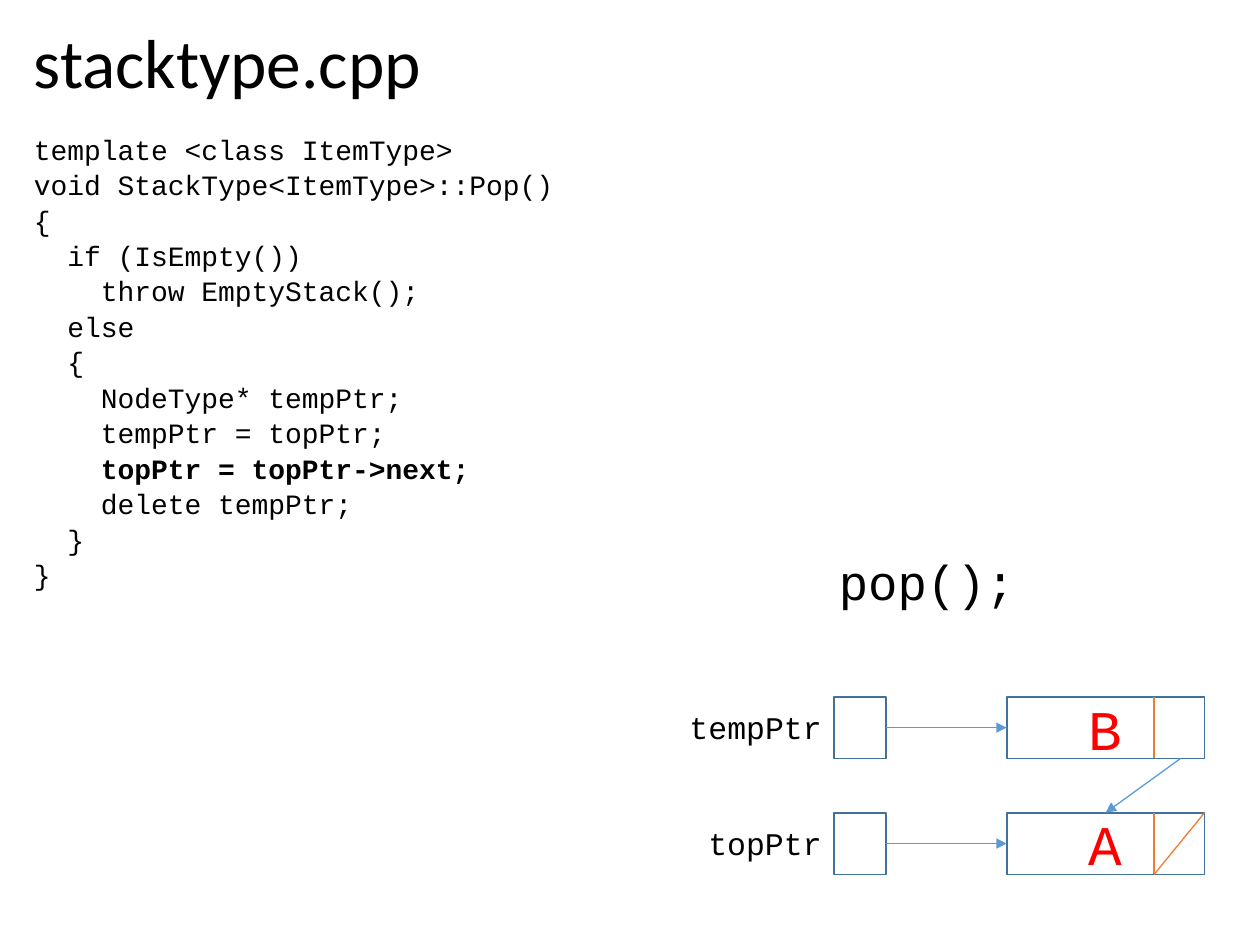
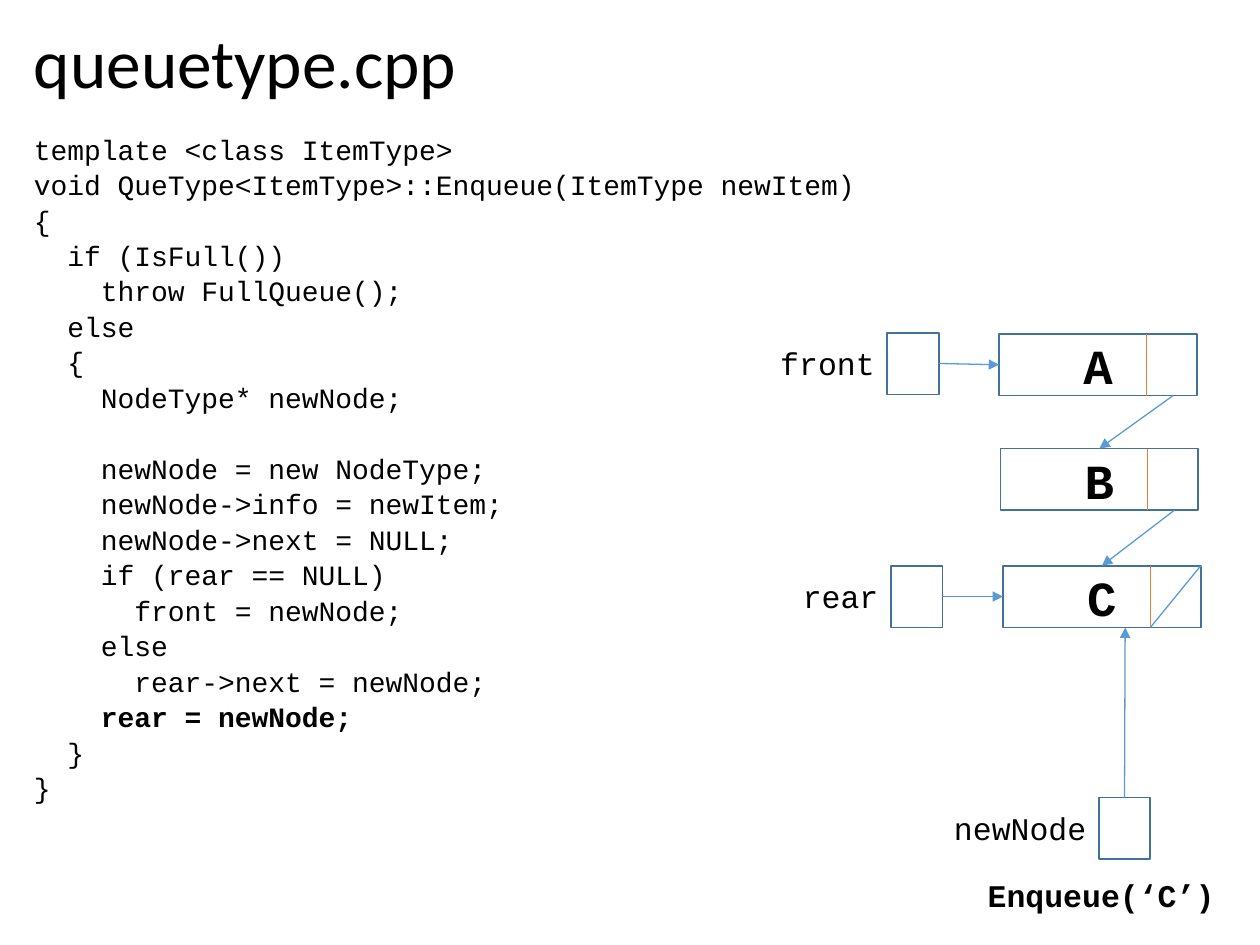
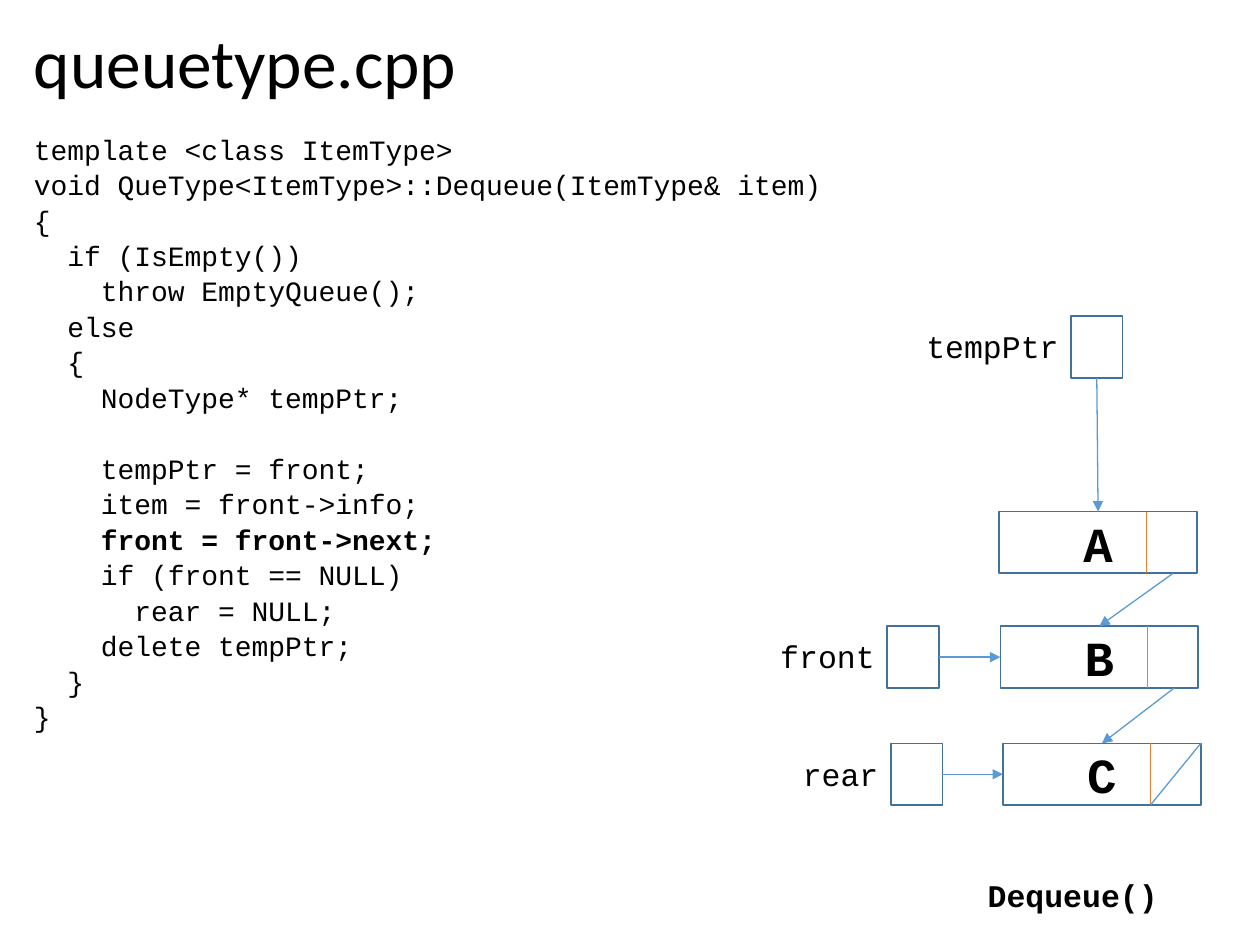
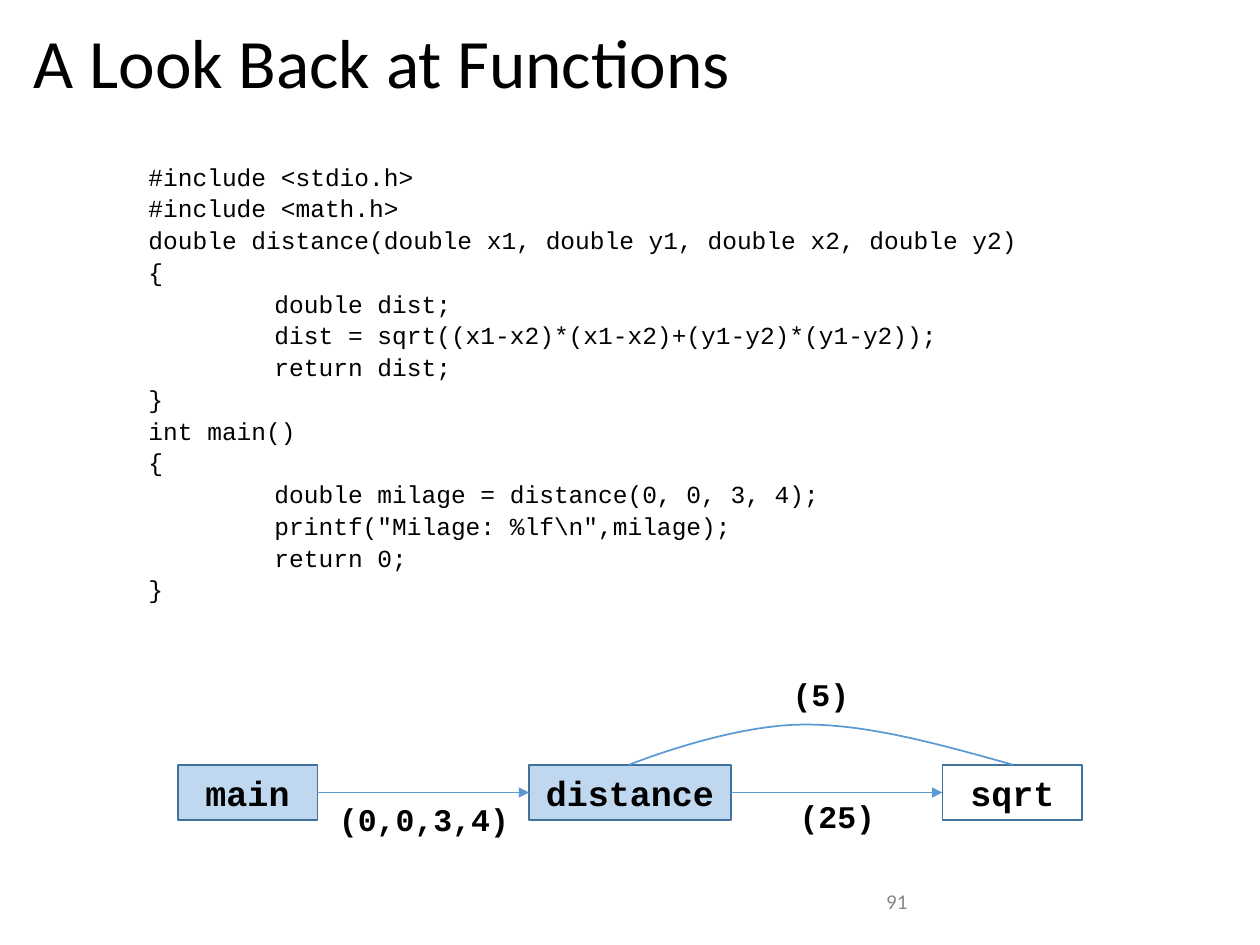
import lxml.etree
import pptx
import pptx.dml.color
import pptx.enum.shapes
import pptx.enum.text
import pptx.oxml.ns
import pptx.util

Inches = pptx.util.Inches
Pt = pptx.util.Pt
qn = pptx.oxml.ns.qn
ALIGN = pptx.enum.text.PP_ALIGN
ANCHOR = pptx.enum.text.MSO_ANCHOR
STRAIGHT = pptx.enum.shapes.MSO_CONNECTOR.STRAIGHT
RECTANGLE = pptx.enum.shapes.MSO_SHAPE.RECTANGLE

COLORS = {
    "text": "000000", "white": "FFFFFF", "red": "FF0000", "number": "888888",
    "border": "42719B", "arrow": "5B9BD5", "divider": "ED7D31",
}
HEADING_FONT = "Calibri"
CODE_FONT = "Courier New"
TOP, LEFT, BOTTOM, RIGHT = range(4)

TITLE_BOX = (0.17, 0.18, 9.62, 0.74)
CODE_BOX = (0.17, 1.03, 9.62, 5.73)
NODE_SIZE = (1.57, 0.49)
POINTER_SIZE = (0.41, 0.49)
DIVIDER_OFFSET = 1.17
LINK_OFFSET = 1.38
LABEL_DROP = 0.04
LABEL_HEIGHT = 0.4
PARAGRAPH_GAP = 3
BLANK_LINE_GAP = 23.3
CODE_TAB = 1

POP_CODE = """template <class ItemType>
void StackType<ItemType>::Pop()
{
  if (IsEmpty())
    throw EmptyStack();
  else
  {
    NodeType* tempPtr;
    tempPtr = topPtr;
    topPtr = topPtr->next;
    delete tempPtr;
  }
}"""

ENQUEUE_CODE = """template <class ItemType>
void QueType<ItemType>::Enqueue(ItemType newItem)
{
  if (IsFull())
    throw FullQueue();
  else
  {
    NodeType* newNode;

    newNode = new NodeType;
    newNode->info = newItem;
    newNode->next = NULL;
    if (rear == NULL)
      front = newNode;
    else
      rear->next = newNode;
    rear = newNode;
  }
}"""

DEQUEUE_CODE = """template <class ItemType>
void QueType<ItemType>::Dequeue(ItemType& item)
{
  if (IsEmpty())
    throw EmptyQueue();
  else
  {
    NodeType* tempPtr;

    tempPtr = front;
    item = front->info;
    front = front->next;
    if (front == NULL)
      rear = NULL;
    delete tempPtr;
  }
}"""

DISTANCE_CODE = r"""#include <stdio.h>
#include <math.h>
double distance(double x1, double y1, double x2, double y2)
{
	double dist;
	dist = sqrt((x1-x2)*(x1-x2)+(y1-y2)*(y1-y2));
	return dist;
}
int main()
{
	double milage = distance(0, 0, 3, 4);
	printf("Milage: %lf\n",milage);
	return 0;
}"""

QUEUE_STYLE = {"size": 28, "bold": True}
QUEUE_CAPTION = {"box": (7.74, 6.9, 2.14, 0.4), "size": 18, "bold": True}

LIST_SLIDES = [
    {
        "title": "stacktype.cpp", "code": POP_CODE, "current": "topPtr = topPtr->next;",
        "nodes": [("B", 7.99, 5.53), ("A", 7.99, 6.45)],
        "node_style": {"size": 32, "color": "red"}, "null_color": "divider",
        "pointers": [
            ("tempPtr", 1.52, 6.62, 5.53, "B", RIGHT, LEFT),
            ("topPtr", 1.36, 6.62, 6.45, "A", RIGHT, LEFT),
        ],
        "caption": ("pop();", {"box": (6.56, 4.33, 2.59, 0.57), "size": 28}),
    },
    {
        "title": "queuetype.cpp", "code": ENQUEUE_CODE, "current": "rear = newNode;",
        "nodes": [("A", 7.93, 2.65), ("B", 7.94, 3.56), ("C", 7.96, 4.49)],
        "node_style": QUEUE_STYLE, "null_color": "arrow",
        "pointers": [
            ("front", 1.52, 7.04, 2.64, "A", RIGHT, LEFT),
            ("rear", 1.36, 7.07, 4.49, "C", RIGHT, LEFT),
            ("newNode", 1.36, 8.72, 6.33, (8.93, 4.98), TOP, None),
        ],
        "caption": ("Enqueue(‘C’)", QUEUE_CAPTION),
    },
    {
        "title": "queuetype.cpp", "code": DEQUEUE_CODE, "current": "front = front->next;",
        "nodes": [("A", 7.93, 4.06), ("B", 7.94, 4.97), ("C", 7.96, 5.9)],
        "node_style": QUEUE_STYLE, "null_color": "arrow",
        "pointers": [
            ("front", 1.52, 7.04, 4.97, "B", RIGHT, LEFT),
            ("rear", 1.36, 7.07, 5.9, "C", RIGHT, LEFT),
            ("tempPtr", 1.36, 8.5, 2.51, "A", BOTTOM, TOP),
        ],
        "caption": ("Dequeue()", QUEUE_CAPTION),
    },
]

FUNCTIONS_TITLE = "A Look Back at Functions"
FUNCTIONS_CODE_BOX = (1.08, 1.26, 7.85, 3.92)
FUNCTION_TOP, FUNCTION_HEIGHT = 6.07, 0.44
FUNCTIONS = [
    ("main", 1.41, 1.11, "arrow", 38),
    ("distance", 4.2, 1.6, "arrow", 38),
    ("sqrt", 7.48, 1.11, "white", 100),
]
CALL_LABELS = [("(0,0,3,4)", 2.56, 6.3), ("(25)", 5.84, 6.28), ("(5)", 5.71, 5.31)]
CALL_LABEL_WIDTH = 1.61
RETURN_CURVES = [
    [(8.04, 6.07), (7.47, 5.91), (6.9, 5.75), (6.39, 5.75)],
    [(6.39, 5.75), (5.88, 5.75), (5.25, 5.97), (4.99, 6.07)],
]
CURVE_STEPS = 16
PAGE_NUMBER = ("91", (2.62, 6.95, 4.68, 0.4))


def rgb(name):
    return pptx.dml.color.RGBColor.from_string(COLORS[name])


def inches(values):
    return [Inches(value) for value in values]


def add_run(paragraph, text, size, color="text", bold=False, font=CODE_FONT):
    run = paragraph.add_run()
    run.text = text
    run.font.name = font
    run.font.size = Pt(size)
    run.font.bold = bold
    run.font.color.rgb = rgb(color)


def add_text_box(slide, box):
    frame = slide.shapes.add_textbox(*inches(box)).text_frame
    frame.word_wrap = True
    return frame


def add_text(slide, text, box, size, align=ALIGN.LEFT, **style):
    frame = add_text_box(slide, box)
    frame.paragraphs[0].alignment = align
    add_run(frame.paragraphs[0], text, size, **style)
    return frame


def add_title(slide, title):
    frame = add_text(slide, title, TITLE_BOX, 39.6, font=HEADING_FONT)
    frame.paragraphs[0].line_spacing = 0.9


def add_tab_stop(paragraph, position):
    properties = paragraph._p.get_or_add_pPr()
    tabs = lxml.etree.SubElement(properties, qn("a:tabLst"))
    lxml.etree.SubElement(tabs, qn("a:tab"), pos=str(Inches(position)), algn="l")


def add_code(slide, code, box, size, current=None):
    frame = add_text_box(slide, box)
    paragraph = frame.paragraphs[0]
    gap = 0
    for line in code.split("\n"):
        if not line:
            gap = BLANK_LINE_GAP
            continue
        if gap:
            paragraph = frame.add_paragraph()
            paragraph.space_before = Pt(gap)
        paragraph.line_spacing = 0.9
        if line.startswith("\t"):
            add_tab_stop(paragraph, CODE_TAB)
        add_run(paragraph, line, size, bold=line.strip() == current)
        gap = PARAGRAPH_GAP


def add_box(slide, box, text="", fill=None, opacity=100, **style):
    shape = slide.shapes.add_shape(RECTANGLE, *inches(box))
    shape.shadow.inherit = False
    shape.line.color.rgb = rgb("border")
    shape.line.width = Pt(1)
    if fill:
        shape.fill.solid()
        shape.fill.fore_color.rgb = rgb(fill)
        if opacity < 100:
            color = shape.element.spPr.find(qn("a:solidFill")).find(qn("a:srgbClr"))
            lxml.etree.SubElement(color, qn("a:alpha"), val=str(opacity * 1000))
    else:
        shape.fill.background()
    if text:
        shape.text_frame.vertical_anchor = ANCHOR.MIDDLE
        paragraph = shape.text_frame.paragraphs[0]
        paragraph.alignment = ALIGN.CENTER
        add_run(paragraph, text, **style)
    return shape


def add_line(slide, start=(0, 0), end=(0, 0), color="arrow", arrow=False,
             begin_at=None, end_at=None):
    connector = slide.shapes.add_connector(STRAIGHT, *inches(start + end))
    connector.line.color.rgb = rgb(color)
    connector.line.width = Pt(0.75)
    properties = connector.element.spPr
    if arrow:
        lxml.etree.SubElement(properties.find(qn("a:ln")), qn("a:tailEnd"), type="triangle")
    lxml.etree.SubElement(properties, qn("a:effectLst"))
    if begin_at:
        connector.begin_connect(*begin_at)
    if end_at:
        connector.end_connect(*end_at)


def add_nodes(slide, content):
    width, height = NODE_SIZE
    nodes = {}
    for name, left, top in content["nodes"]:
        nodes[name] = add_box(slide, (left, top, width, height), name, **content["node_style"])
        divider = left + DIVIDER_OFFSET
        add_line(slide, (divider, top), (divider, top + height), "divider")
    add_line(slide, (left + width, top), (divider, top + height), content["null_color"])
    for (name, left, top), following in zip(content["nodes"], content["nodes"][1:]):
        add_line(slide, (left + LINK_OFFSET, top + height), arrow=True,
                 end_at=(nodes[following[0]], TOP))
    return nodes


def add_pointers(slide, pointers, nodes):
    for name, label_width, left, top, target, begin_side, end_side in pointers:
        box = add_box(slide, (left, top) + POINTER_SIZE)
        label_box = (left - label_width, top + LABEL_DROP, label_width, LABEL_HEIGHT)
        add_text(slide, name, label_box, 18, ALIGN.RIGHT)
        if end_side is None:
            add_line(slide, end=target, arrow=True, begin_at=(box, begin_side))
        else:
            add_line(slide, arrow=True, begin_at=(box, begin_side),
                     end_at=(nodes[target], end_side))


def add_list_slide(slide, content):
    add_title(slide, content["title"])
    add_code(slide, content["code"], CODE_BOX, 16, content["current"])
    nodes = add_nodes(slide, content)
    add_pointers(slide, content["pointers"], nodes)
    caption, style = content["caption"]
    add_text(slide, caption, **style)


def curve_point(points, t):
    weights = ((1 - t) ** 3, 3 * t * (1 - t) ** 2, 3 * t ** 2 * (1 - t), t ** 3)
    return [Inches(sum(w * point[axis] for w, point in zip(weights, points)))
            for axis in (0, 1)]


def add_return_curve(slide):
    builder = slide.shapes.build_freeform(*inches(RETURN_CURVES[0][0]))
    builder.add_line_segments(
        [curve_point(curve, step / CURVE_STEPS)
         for curve in RETURN_CURVES for step in range(1, CURVE_STEPS + 1)],
        close=False)
    shape = builder.convert_to_shape()
    shape.shadow.inherit = False
    shape.fill.background()
    shape.line.color.rgb = rgb("arrow")
    shape.line.width = Pt(1)


def add_functions_slide(slide):
    number, number_box = PAGE_NUMBER
    frame = add_text(slide, number, number_box, 12, ALIGN.RIGHT,
                     color="number", font=HEADING_FONT)
    frame.vertical_anchor = ANCHOR.MIDDLE
    add_title(slide, FUNCTIONS_TITLE)
    add_code(slide, DISTANCE_CODE, FUNCTIONS_CODE_BOX, 14)
    boxes = [add_box(slide, (left, FUNCTION_TOP, width, FUNCTION_HEIGHT), name,
                     fill, opacity, size=20, bold=True)
             for name, left, width, fill, opacity in FUNCTIONS]
    for caller, called in zip(boxes, boxes[1:]):
        add_line(slide, arrow=True, begin_at=(caller, RIGHT), end_at=(called, LEFT))
    add_return_curve(slide)
    for label, left, top in CALL_LABELS:
        add_text(slide, label, (left, top, CALL_LABEL_WIDTH, LABEL_HEIGHT), 18,
                 ALIGN.CENTER, bold=True)


def main():
    presentation = pptx.Presentation()
    presentation.slide_width = Inches(10)
    presentation.slide_height = Inches(7.5)
    blank = presentation.slide_layouts[6]
    for content in LIST_SLIDES:
        add_list_slide(presentation.slides.add_slide(blank), content)
    add_functions_slide(presentation.slides.add_slide(blank))
    presentation.save("out.pptx")


if __name__ == "__main__":
    main()
